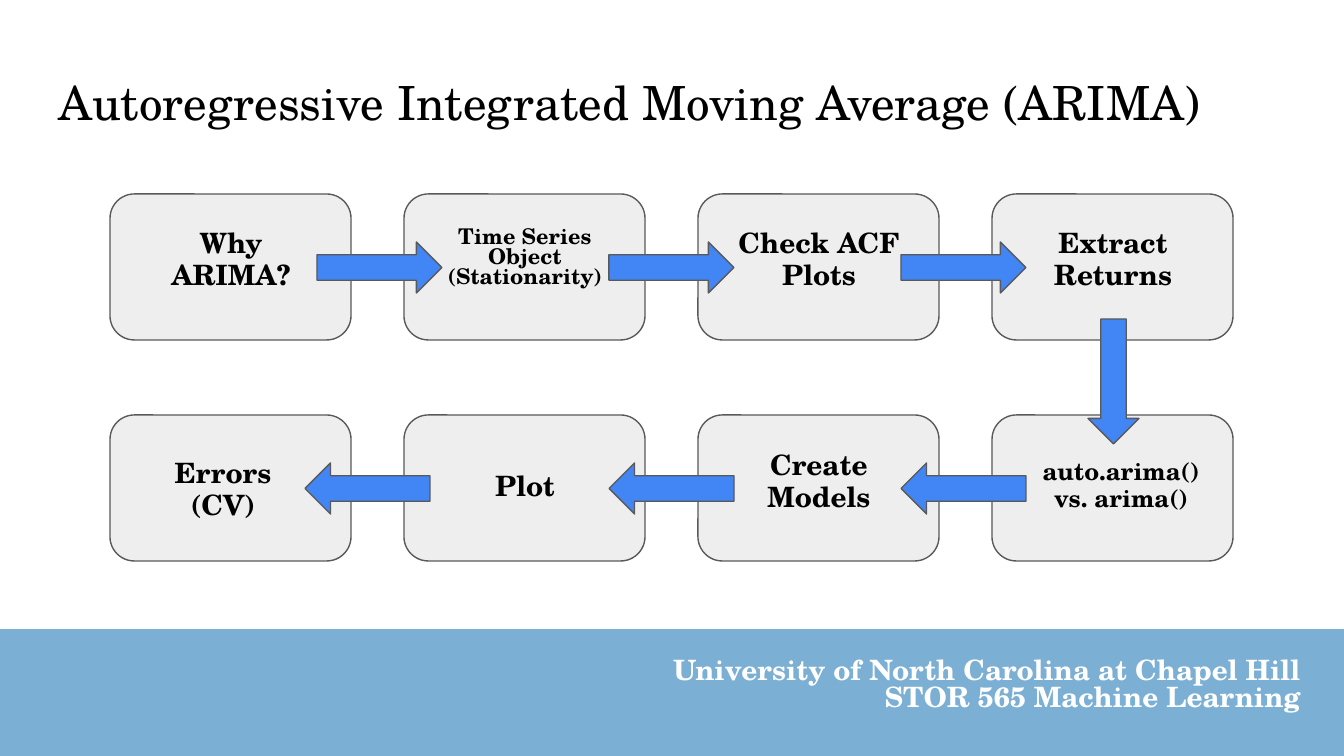
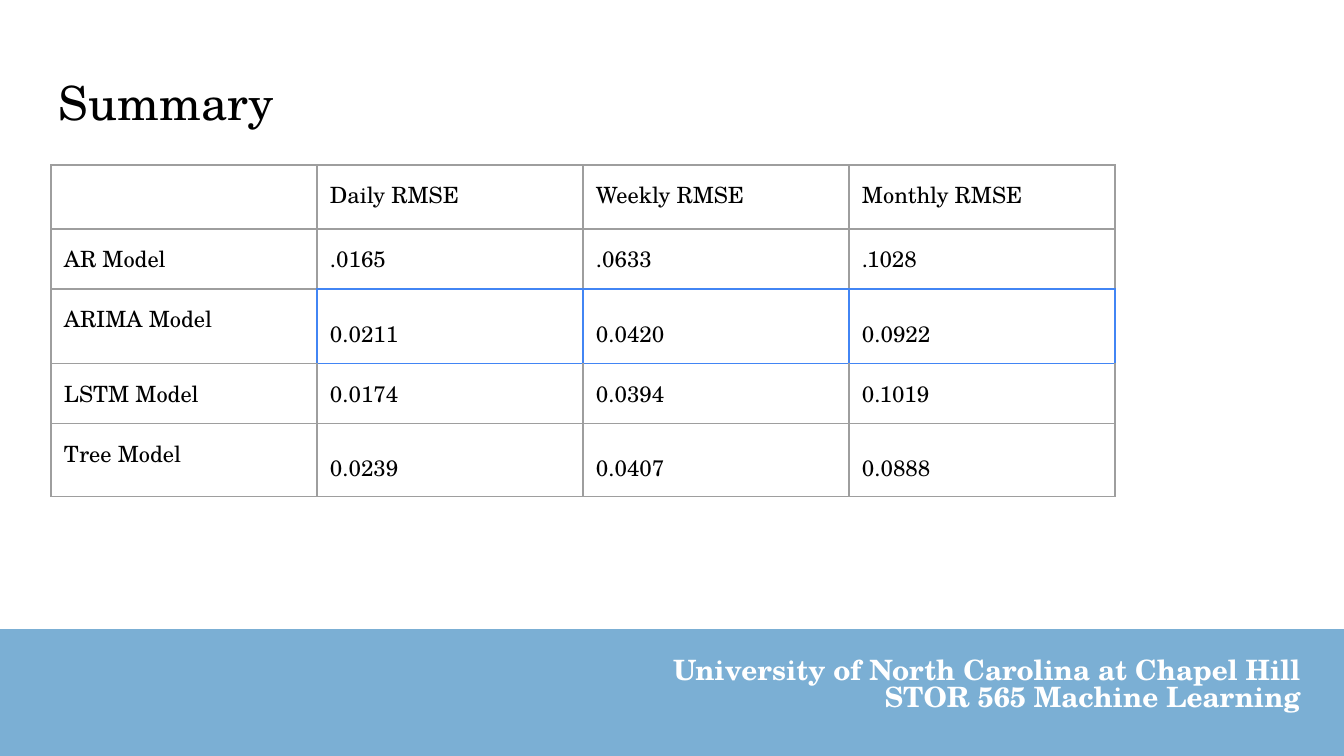
from dataclasses import dataclass
from typing import Any, NamedTuple

from lxml.etree import SubElement
from pptx import Presentation
from pptx.dml.color import RGBColor
from pptx.enum.shapes import MSO_SHAPE
from pptx.enum.text import MSO_ANCHOR, MSO_AUTO_SIZE, PP_ALIGN
from pptx.oxml import parse_xml
from pptx.oxml.ns import nsdecls, qn
from pptx.util import Emu, Pt

EMU_PER_PX = 914400 / 134.4
FONT = "TeX Gyre Schola"
COLORS = {
    "ink": "000000",
    "paper": "FFFFFF",
    "band": "7BAFD4",
    "step": "EEEEEE",
    "outline": "595959",
    "accent": "4285F4",
    "grid": "9E9E9E",
}


def px(length: int) -> Emu:
    return Emu(round(length * EMU_PER_PX))


INSET = px(13)
FRAME_FORMAT = {
    "auto_size": MSO_AUTO_SIZE.NONE,
    "word_wrap": True,
    "vertical_anchor": MSO_ANCHOR.TOP,
    "margin_left": INSET,
    "margin_right": INSET,
    "margin_top": INSET,
    "margin_bottom": INSET,
}
CELL_FORMAT = {key: value for key, value in FRAME_FORMAT.items()
               if key not in ("auto_size", "word_wrap")}


class Area(NamedTuple):
    left: int
    top: int
    width: int
    height: int

    def emu(self) -> list[Emu]:
        return [px(length) for length in self]


@dataclass(frozen=True)
class TextStyle:
    size: float
    color: str = "ink"
    bold: bool = False
    align: PP_ALIGN = PP_ALIGN.LEFT
    spacing: float = 1.0
    after: int = 0


@dataclass(frozen=True)
class Label:
    text: str
    area: Area
    style: TextStyle


@dataclass(frozen=True)
class Arrow:
    left: int
    top: int
    rotation: int = 0


TITLE_STYLE = TextStyle(25.2, spacing=0.92)
FOOTER_STYLE = TextStyle(15, "paper", True, PP_ALIGN.RIGHT, 0.82)
STEP_STYLE = TextStyle(15, bold=True, align=PP_ALIGN.CENTER, spacing=0.95, after=12)
SMALL_STEP_STYLE = TextStyle(11.6, bold=True, align=PP_ALIGN.CENTER,
                             spacing=0.78, after=12)
CODE_STEP_STYLE = TextStyle(13, bold=True, align=PP_ALIGN.CENTER,
                            spacing=0.95, after=12)
CELL_STYLE = TextStyle(12)
RAISED_STYLES = {2: TextStyle(12, spacing=1.45),
                 4: TextStyle(12, spacing=1.43, after=8)}

TITLE_AREA = Area(46, 66, 1253, 84)
BAND_AREA = Area(0, 630, 1344, 126)
FOOTER_AREA = Area(642, 645, 672, 84)
FOOTER_LINES = ["University of North Carolina at Chapel Hill",
                "STOR 565 Machine Learning"]

STEP_LEFT, STEP_PITCH, STEP_WIDTH, STEP_HEIGHT = 110, 294, 241, 146
STEP_TOPS = (194, 415)
LABEL_LEFT = STEP_LEFT + 27
ARROW_WIDTH, ARROW_HEIGHT = 125, 51

TOP_STEPS = [
    ("Why ARIMA?", STEP_STYLE),
    ("Time Series Object (Stationarity)", SMALL_STEP_STYLE),
    ("Check ACF Plots", STEP_STYLE),
    ("Extract Returns", STEP_STYLE),
]
LABELS = [
    Label(text, Area(LABEL_LEFT + column * STEP_PITCH, 215, 188, 105), style)
    for column, (text, style) in enumerate(TOP_STEPS)
] + [
    Label("Errors (CV)", Area(129, 445, 188, 62), STEP_STYLE),
    Label("Plot", Area(431, 458, 188, 62), STEP_STYLE),
    Label("Create Models", Area(712, 437, 214, 105), STEP_STYLE),
    Label("auto.arima() vs. arima()", Area(1027, 445, 188, 105), CODE_STEP_STYLE),
]
ARROWS = [Arrow(left, 242) for left in (317, 609, 901)] + [
    Arrow(1051, 356, 90)
] + [Arrow(left, 463, 180) for left in (901, 609, 305)]

RMSE_ROWS = [
    ["", "Daily RMSE", "Weekly RMSE", "Monthly RMSE"],
    ["AR Model", ".0165", ".0633", ".1028"],
    ["ARIMA Model", "0.0211", "0.0420", "0.0922"],
    ["LSTM Model", "0.0174", "0.0394", "0.1019"],
    ["Tree Model", "0.0239", "0.0407", "0.0888"],
]
ROW_HEIGHTS = [64, 60, 75, 60, 73]
COLUMN_WIDTH = 266
HIGHLIGHTED = {(2, column) for column in (1, 2, 3)}
NEIGHBOURS = {"lnL": (0, -1), "lnR": (0, 1), "lnT": (-1, 0), "lnB": (1, 0)}


def rgb(name: str) -> RGBColor:
    return RGBColor.from_string(COLORS[name])


def set_all(target: Any, values: dict[str, Any]) -> None:
    for name, value in values.items():
        setattr(target, name, value)


def write(frame: Any, lines: list[str], style: TextStyle) -> None:
    for number, line in enumerate(lines):
        para = frame.add_paragraph() if number else frame.paragraphs[0]
        set_all(para, {
            "alignment": style.align,
            "line_spacing": style.spacing,
            "space_before": Pt(0),
            "space_after": Pt(style.after),
        })
        span = para.add_run()
        span.text = line
        set_all(span.font, {"name": FONT, "size": Pt(style.size), "bold": style.bold})
        span.font.color.rgb = rgb(style.color)


def add_text(page: Any, area: Area, lines: list[str], style: TextStyle) -> None:
    box = page.shapes.add_textbox(*area.emu())
    set_all(box.text_frame, FRAME_FORMAT)
    write(box.text_frame, lines, style)


def add_block(page: Any, kind: MSO_SHAPE, area: Area, fill: str, line: str) -> Any:
    block = page.shapes.add_shape(kind, *area.emu())
    block.shadow.inherit = False
    block.fill.solid()
    block.fill.fore_color.rgb = rgb(fill)
    block.line.color.rgb = rgb(line)
    block.line.width = Pt(0.75)
    return block


def add_page(deck: Any, title: str) -> Any:
    """Add a slide with its title and the shared footer band."""
    page = deck.slides.add_slide(deck.slide_layouts[5])
    heading = page.shapes.title
    set_all(heading, dict(zip(("left", "top", "width", "height"), TITLE_AREA.emu())))
    set_all(heading.text_frame, FRAME_FORMAT)
    write(heading.text_frame, [title], TITLE_STYLE)
    add_block(page, MSO_SHAPE.RECTANGLE, BAND_AREA, "band", "band")
    add_text(page, FOOTER_AREA, FOOTER_LINES, FOOTER_STYLE)
    return page


def add_arrow(page: Any, arrow: Arrow) -> None:
    area = Area(arrow.left, arrow.top, ARROW_WIDTH, ARROW_HEIGHT)
    block = add_block(page, MSO_SHAPE.RIGHT_ARROW, area, "accent", "outline")
    block.rotation = arrow.rotation


def add_flow(page: Any) -> None:
    for top in STEP_TOPS:
        for column in range(4):
            area = Area(STEP_LEFT + column * STEP_PITCH, top, STEP_WIDTH, STEP_HEIGHT)
            add_block(page, MSO_SHAPE.ROUNDED_RECTANGLE, area, "step", "outline")
    for arrow in ARROWS:
        add_arrow(page, arrow)
    for label in LABELS:
        add_text(page, label.area, [label.text], label.style)


def draw_borders(cell: Any, row: int, column: int) -> None:
    """Draw an edge in the accent colour where it touches a highlighted cell."""
    properties = cell._tc.get_or_add_tcPr()
    for position, (edge, (down, right)) in enumerate(NEIGHBOURS.items()):
        touching = {(row, column), (row + down, column + right)}
        color = COLORS["accent" if touching & HIGHLIGHTED else "grid"]
        line = parse_xml(f'<a:{edge} {nsdecls("a")} w="{Pt(0.75)}"/>')
        fill = SubElement(line, qn("a:solidFill"))
        SubElement(fill, qn("a:srgbClr"), val=color)
        properties.insert(position, line)


def add_rmse_table(page: Any) -> None:
    columns = len(RMSE_ROWS[0])
    area = Area(51, 165, columns * COLUMN_WIDTH, sum(ROW_HEIGHTS))
    table = page.shapes.add_table(len(RMSE_ROWS), columns, *area.emu()).table
    set_all(table, {"first_row": False, "horz_banding": False})
    for column in table.columns:
        column.width = px(COLUMN_WIDTH)
    for row, (values, height) in enumerate(zip(RMSE_ROWS, ROW_HEIGHTS)):
        table.rows[row].height = px(height)
        for column, value in enumerate(values):
            cell = table.cell(row, column)
            set_all(cell, CELL_FORMAT)
            cell.fill.background()
            style = RAISED_STYLES.get(row, CELL_STYLE) if column else CELL_STYLE
            write(cell.text_frame, [value], style)
            draw_borders(cell, row, column)


def main() -> None:
    deck = Presentation()
    set_all(deck, {"slide_width": px(1344), "slide_height": px(756)})
    add_flow(add_page(deck, "Autoregressive Integrated Moving Average (ARIMA)"))
    add_rmse_table(add_page(deck, "Summary"))
    deck.save("out.pptx")


if __name__ == "__main__":
    main()
